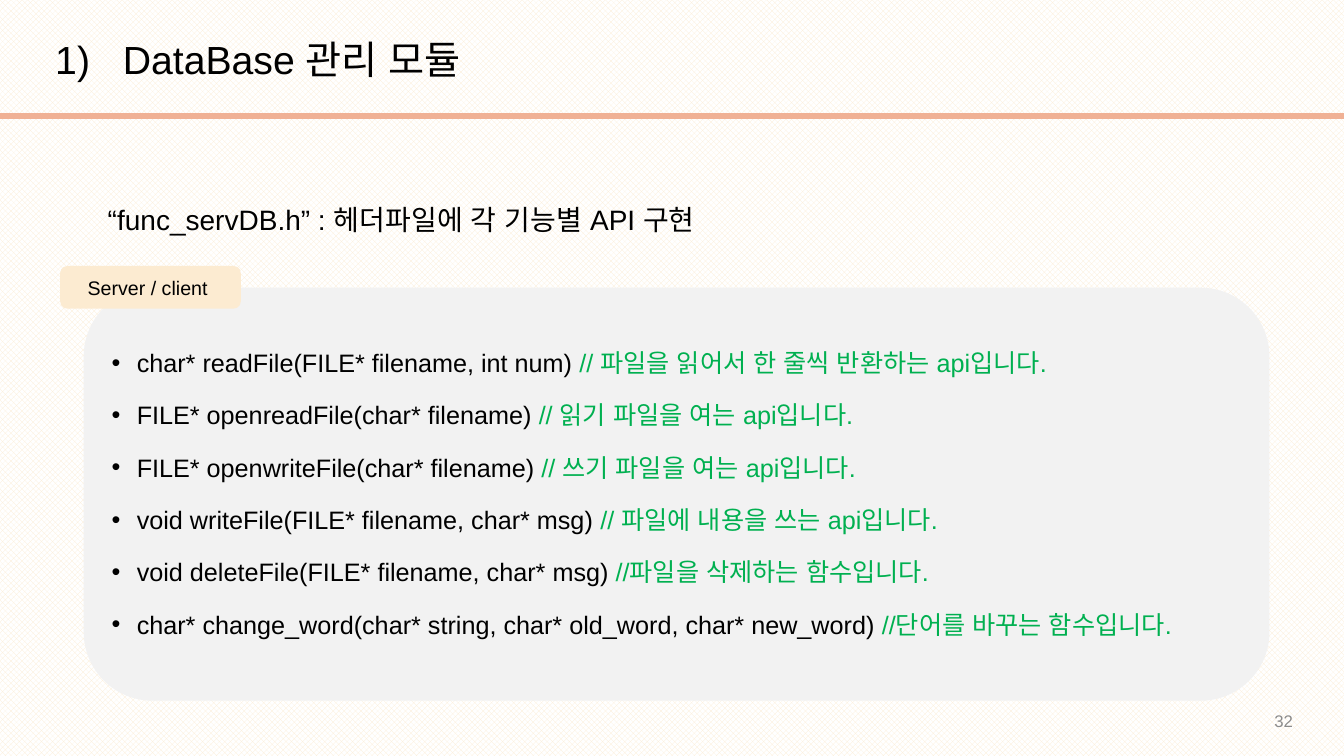
from lxml import etree
from pptx import Presentation
from pptx.dml.color import RGBColor
from pptx.enum.dml import MSO_PATTERN
from pptx.enum.shapes import MSO_CONNECTOR, MSO_SHAPE
from pptx.enum.text import MSO_ANCHOR, PP_ALIGN
from pptx.oxml.ns import qn
from pptx.util import Pt

OPEN_DIAMOND = MSO_PATTERN.from_xml("openDmnd")
STRAIGHT = MSO_CONNECTOR.STRAIGHT
PANEL_SHAPE = MSO_SHAPE.FLOWCHART_ALTERNATE_PROCESS
TAG_SHAPE = MSO_SHAPE.ROUNDED_RECTANGLE
TOP, MIDDLE = MSO_ANCHOR.TOP, MSO_ANCHOR.MIDDLE
LEFT, CENTER, RIGHT = PP_ALIGN.LEFT, PP_ALIGN.CENTER, PP_ALIGN.RIGHT

WIDTH, HEIGHT = 960, 540
FONT = "Arial"
BLACK, WHITE, GREY, GREEN = "000000", "FFFFFF", "8C8C8C", "00B050"
CREAM, PANEL, RULE = "FCEBD1", "F2F2F2", "F0B195"

FUNCTIONS = [
    ("char* readFile(FILE* filename, int num) ", "// 파일을 읽어서 한 줄씩 반환하는 api입니다."),
    ("FILE* openreadFile(char* filename) ", "// 읽기 파일을 여는 api입니다."),
    ("FILE* openwriteFile(char* filename) ", "// 쓰기 파일을 여는 api입니다."),
    ("void writeFile(FILE* filename, char* msg) ", "// 파일에 내용을 쓰는 api입니다."),
    ("void deleteFile(FILE* filename, char* msg) ", "//파일을 삭제하는 함수입니다."),
    ("char* change_word(char* string, char* old_word, char* new_word) ", "//단어를 바꾸는 함수입니다."),
]


def color(value):
    """Turn a hex string into a colour."""
    return RGBColor.from_string(value)


def add_frame(slide, left, top, width, height, anchor=MIDDLE):
    """Add a wrapping text box without margins and return its text frame."""
    frame = slide.shapes.add_textbox(Pt(left), Pt(top), Pt(width), Pt(height)).text_frame
    frame.word_wrap = True
    frame.vertical_anchor = anchor
    frame.margin_left = frame.margin_right = frame.margin_top = frame.margin_bottom = 0
    return frame


def style(paragraph, size, hex_color=BLACK, alignment=LEFT):
    """Set the Latin and Korean font and the alignment of a paragraph."""
    paragraph.alignment = alignment
    paragraph.font.name = FONT
    paragraph.font.size = Pt(size)
    paragraph.font.color.rgb = color(hex_color)
    defaults = paragraph._p.pPr.find(qn("a:defRPr"))
    etree.SubElement(defaults, qn("a:ea"), typeface=FONT)


def add_bullet(paragraph, indent, tag, **attributes):
    """Give a paragraph a hanging bullet or number."""
    properties = paragraph._p.get_or_add_pPr()
    properties.set("marL", str(Pt(indent)))
    properties.set("indent", str(-Pt(indent)))
    etree.SubElement(properties, qn("a:buFont"), typeface=FONT)
    etree.SubElement(properties, qn(tag), **attributes)


def add_block(slide, kind, left, top, width, height, fill):
    """Add a plain filled shape."""
    shape = slide.shapes.add_shape(kind, Pt(left), Pt(top), Pt(width), Pt(height))
    shape.shadow.inherit = False
    shape.fill.solid()
    shape.fill.fore_color.rgb = color(fill)
    shape.line.fill.background()
    return shape


def add_header(slide, left, top, width, height):
    """Draw the numbered title above a full-width rule."""
    paragraph = add_frame(slide, left + 39.5, top + 19.3, width - 80, 46).paragraphs[0]
    add_bullet(paragraph, 48.3, "a:buAutoNum", type="arabicParenR")
    paragraph.text = "DataBase 관리 모듈"
    style(paragraph, 28)
    bottom = Pt(top + height)
    rule = slide.shapes.add_connector(STRAIGHT, Pt(left), bottom, Pt(left + width), bottom)
    rule.line.color.rgb = color(RULE)
    rule.line.width = Pt(4)
    etree.SubElement(rule._element.spPr, qn("a:effectLst"))


def add_intro(slide, left, top, width, height):
    """Write the sentence that introduces the header file."""
    paragraph = add_frame(slide, left, top, width, height).paragraphs[0]
    paragraph.text = "“func_servDB.h” : 헤더파일에 각 기능별 API 구현"
    style(paragraph, 20)


def add_function_panel(slide, left, top, width, height):
    """Draw the panel with its tag and the list of functions."""
    add_block(slide, PANEL_SHAPE, left, top, width, height, PANEL)
    tag = add_block(slide, TAG_SHAPE, left - 16.8, top - 15.5, 129, 30.5, CREAM)
    tag.text_frame.vertical_anchor = MIDDLE
    tag.text_frame.text = "Server / client "
    style(tag.text_frame.paragraphs[0], 14, alignment=CENTER)

    frame = add_frame(slide, left + 19.9, top + 31.7, width - 30, height - 60, TOP)
    for index, (code, remark) in enumerate(FUNCTIONS):
        paragraph = frame.paragraphs[0] if index == 0 else frame.add_paragraph()
        paragraph.line_spacing = 1.5
        paragraph.space_before = Pt(5 if index else 0)
        add_bullet(paragraph, 18, "a:buChar", char="•")
        style(paragraph, 18)
        paragraph.add_run().text = code
        comment = paragraph.add_run()
        comment.text = remark
        comment.font.color.rgb = color(GREEN)


def add_page_number(slide, left, top, width, height):
    """Write the page number at the right of its box."""
    paragraph = add_frame(slide, left, top, width, height).paragraphs[0]
    paragraph.text = "32"
    style(paragraph, 12, GREY, RIGHT)


def main():
    """Build the slide and save it."""
    presentation = Presentation()
    presentation.slide_width, presentation.slide_height = Pt(WIDTH), Pt(HEIGHT)
    slide = presentation.slides.add_slide(presentation.slide_layouts[6])
    background = slide.background.fill
    background.patterned()
    background.pattern = OPEN_DIAMOND
    background.fore_color.rgb = color(CREAM)
    background.back_color.rgb = color(WHITE)
    add_header(slide, 0, 0, WIDTH, 83)
    add_intro(slide, 77, 139.4, 800, 34)
    add_function_panel(slide, 59.8, 205.5, 847, 295)
    add_page_number(slide, 714.6, 500.5, 209, 29)
    presentation.save("out.pptx")


if __name__ == "__main__":
    main()
